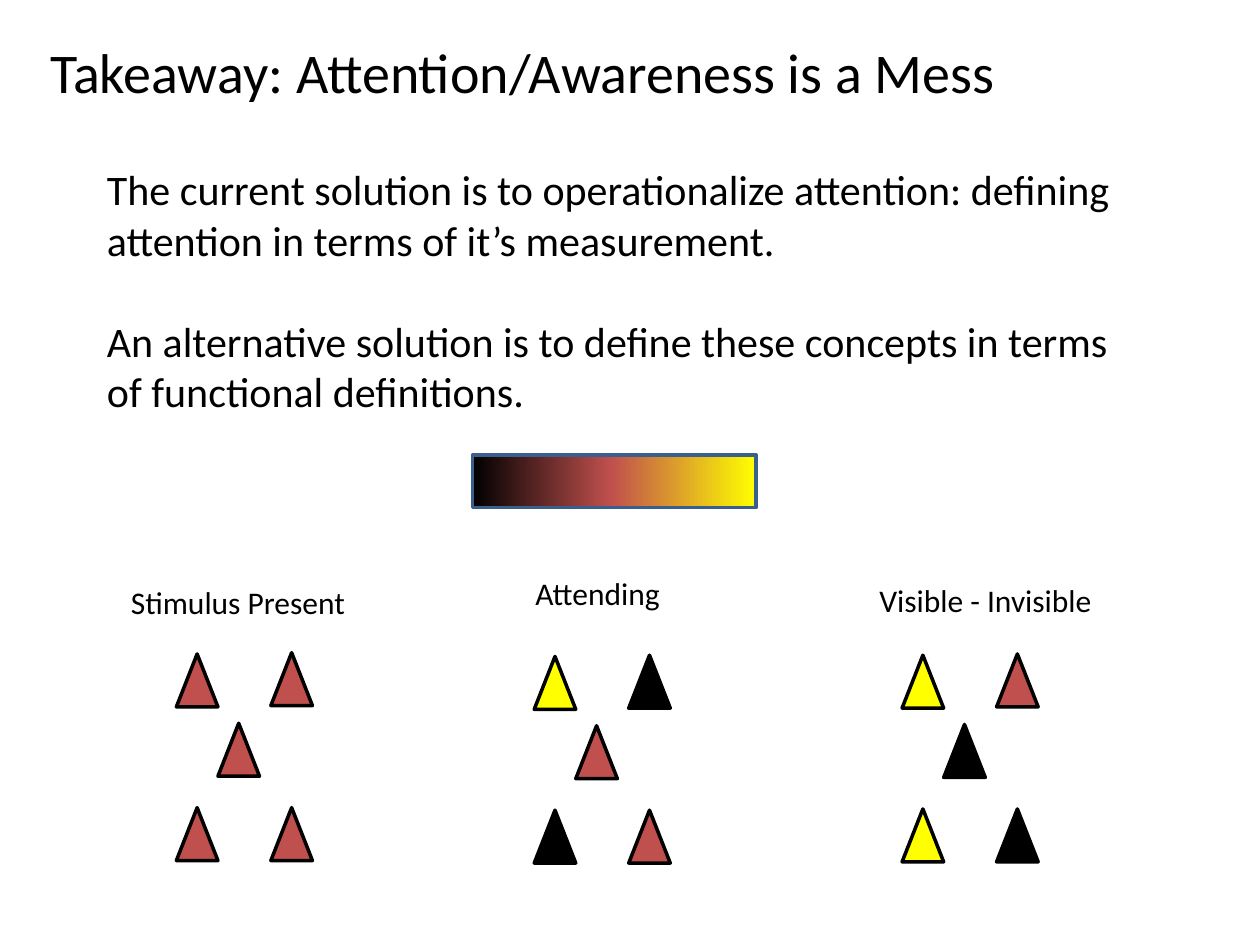
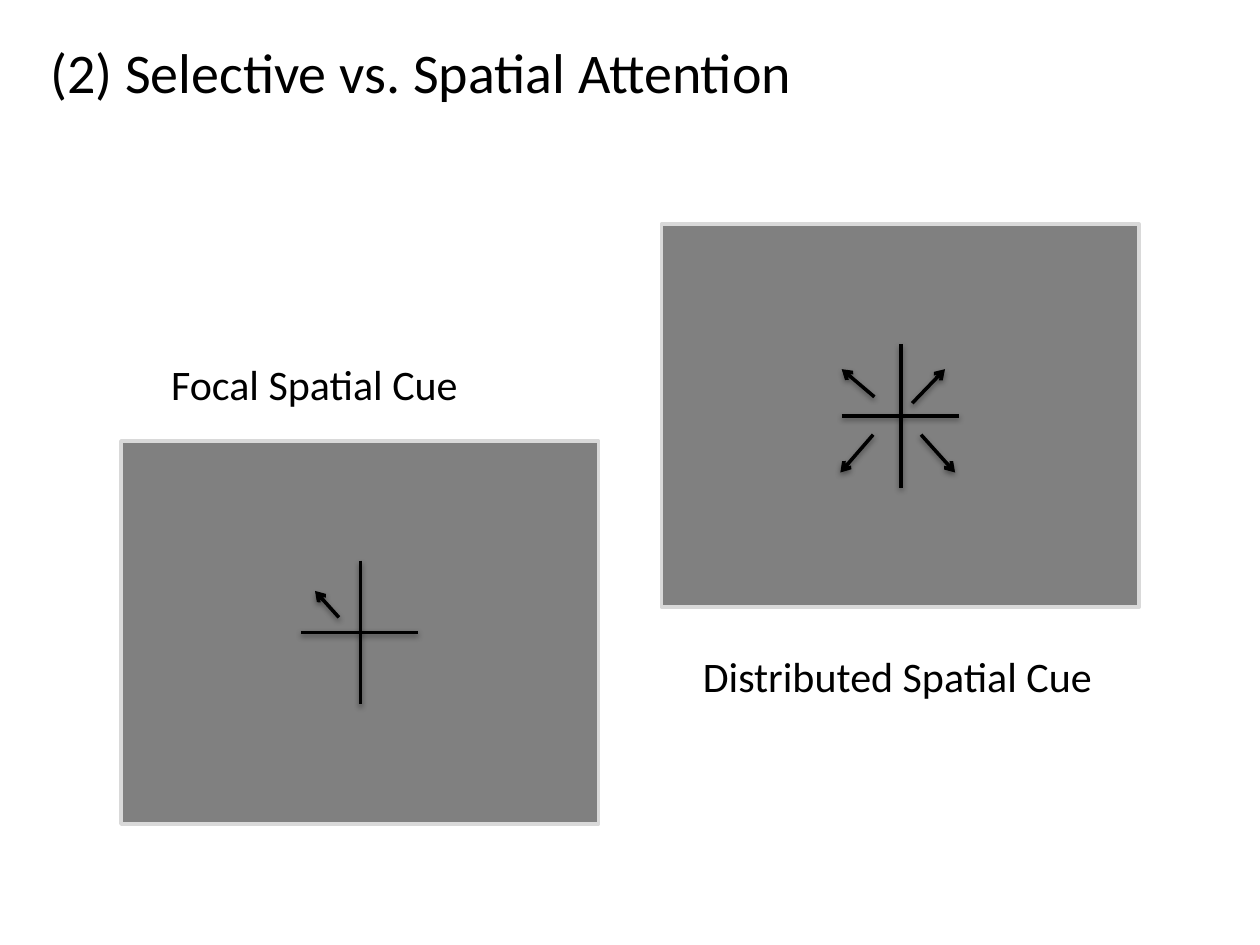
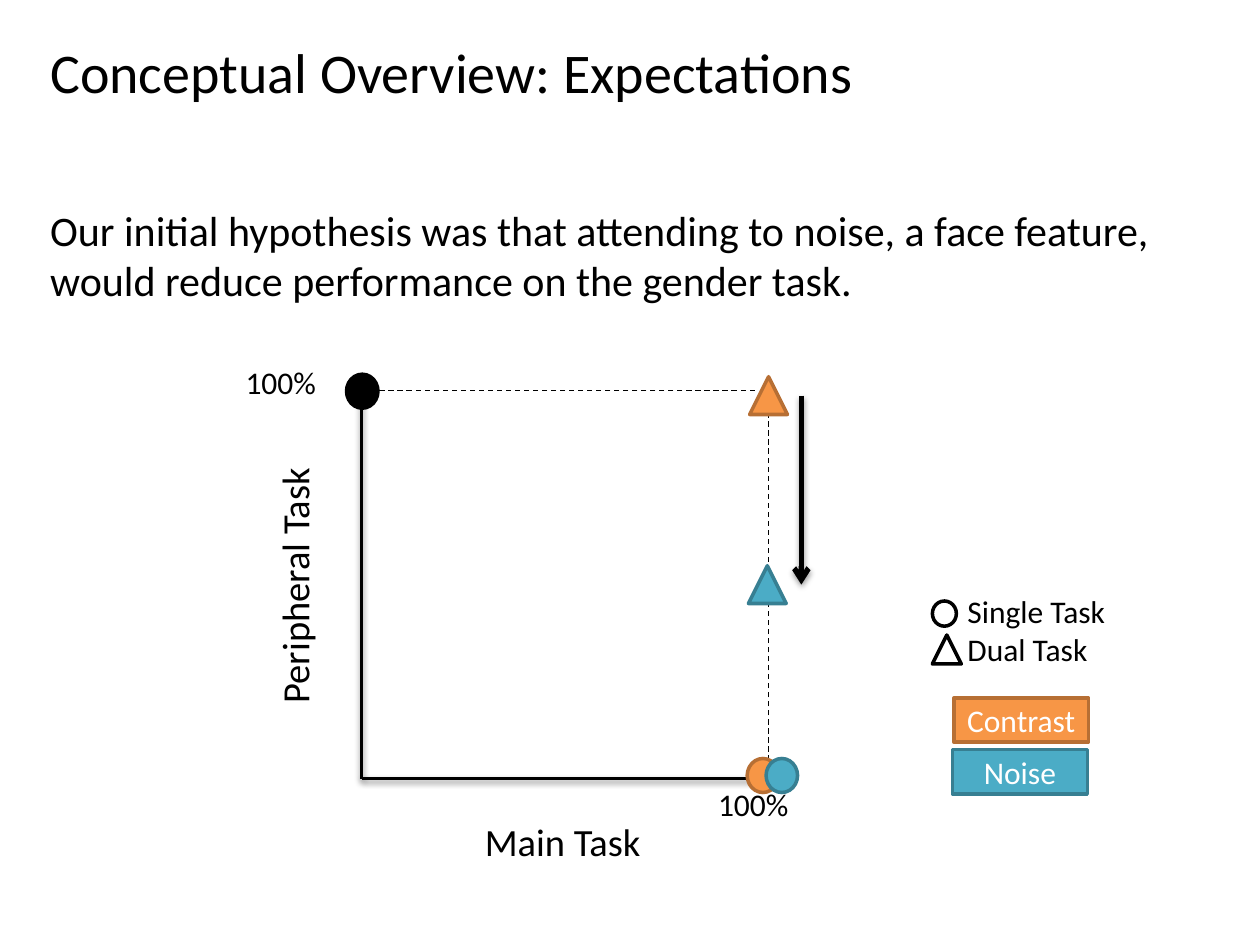
"""Builds three slides on attention, spatial cues and expected task performance."""
from copy import deepcopy

from pptx import Presentation
from pptx.dml.color import RGBColor
from pptx.enum import dml, shapes, text
from pptx.oxml.ns import qn
from pptx.oxml.xmlchemy import OxmlElement
from pptx.util import Pt

PX = 9144
FONT = "Calibri"
BLACK = RGBColor(0x00, 0x00, 0x00)
WHITE = RGBColor(0xFF, 0xFF, 0xFF)
RED = RGBColor(0xC0, 0x50, 0x4D)
YELLOW = RGBColor(0xFF, 0xFF, 0x00)
BLUE_EDGE = RGBColor(0x3A, 0x5F, 0x8C)
GRAY = RGBColor(0x80, 0x80, 0x80)
LIGHT_GRAY = RGBColor(0xD9, 0xD9, 0xD9)
ORANGE = RGBColor(0xF7, 0x96, 0x46)
ORANGE_EDGE = RGBColor(0xB7, 0x6F, 0x34)
TEAL = RGBColor(0x4B, 0xAC, 0xC6)
TEAL_EDGE = RGBColor(0x37, 0x7F, 0x92)
RECTANGLE = shapes.MSO_SHAPE.RECTANGLE
TRIANGLE = shapes.MSO_SHAPE.ISOSCELES_TRIANGLE
OVAL = shapes.MSO_SHAPE.OVAL


def add_text(slide, box, lines, size, wrap=False, gap=0):
    shape = slide.shapes.add_textbox(*(value * PX for value in box))
    frame = shape.text_frame
    frame.text = "\n".join(lines)
    frame.word_wrap = wrap
    frame.auto_size = text.MSO_AUTO_SIZE.SHAPE_TO_FIT_TEXT
    for index, paragraph in enumerate(frame.paragraphs):
        paragraph.space_before = Pt(gap if index else 0)
        for run in paragraph.runs:
            run.font.name = FONT
            run.font.size = Pt(size)
            run.font.color.rgb = BLACK
    return shape


def add_figure(slide, kind, box, fill, edge):
    shape = slide.shapes.add_shape(kind, *(value * PX for value in box))
    shape.shadow.inherit = False
    if fill is None:
        shape.fill.background()
    else:
        shape.fill.solid()
        shape.fill.fore_color.rgb = fill
    shape.line.color.rgb = edge
    shape.line.width = Pt(2)
    return shape


presentation = Presentation()
presentation.slide_width = 1000 * PX
presentation.slide_height = 750 * PX

slides = []
for title, width in [
    ("Takeaway: Attention/Awareness is a Mess", 778),
    ("(2) Selective vs. Spatial Attention", 617),
    ("Conceptual Overview: Expectations", 664),
]:
    slide = presentation.slides.add_slide(presentation.slide_layouts[6])
    add_text(slide, (30, 25, width, 64), [title], 32)
    slides.append(slide)
takeaway, cues, expectations = slides

add_text(takeaway, (75, 125, 842, 212), [
    "The current solution is to operationalize attention: defining attention in terms of it’s measurement.",
    "An alternative solution is to define these concepts in terms of functional definitions.",
], 24, wrap=True, gap=29)

scale_bar = add_figure(takeaway, RECTANGLE, (375, 361, 225, 42), None, BLUE_EDGE)
scale_bar.fill.gradient()
scale_bar.fill.gradient_angle = 0
stop_list = scale_bar.element.spPr.find(qn("a:gradFill")).find(qn("a:gsLst"))
stop_list.insert(1, deepcopy(stop_list[0]))
for stop, position, color in zip(scale_bar.fill.gradient_stops, (0, 0.49, 1), (BLACK, RED, YELLOW)):
    stop.position = position
    stop.color.rgb = color

triangle_offsets = [(0, 0), (75, -1), (33, 55), (0, 122), (75, 122)]
for label, label_box, left, top, colors in [
    ("Stimulus Present", (94, 458, 192, 40), 140, 519, [RED] * 5),
    ("Attending", (415, 451, 121, 40), 424, 521, [YELLOW, BLACK, RED, BLACK, RED]),
    ("Visible - Invisible", (688, 456, 191, 40), 716, 520, [YELLOW, RED, BLACK, YELLOW, BLACK]),
]:
    add_text(takeaway, label_box, [label], 18)
    for (dx, dy), color in zip(triangle_offsets, colors):
        add_figure(takeaway, TRIANGLE, (left + dx, top + dy, 33, 42), color, BLACK)

lines = []
for label, label_box, left, top in [
    ("Focal Spatial Cue", (126, 280, 250, 50), 96, 350),
    ("Distributed Spatial Cue", (548, 511, 332, 50), 525, 178),
]:
    add_figure(cues, RECTANGLE, (left, top, 379, 304), GRAY, LIGHT_GRAY)
    add_text(cues, label_box, [label], 24)
    center_x, center_y = left + 190, top + 152
    lines.append((cues, (center_x - 47, center_y, center_x + 46, center_y), 2, "plain"))
    lines.append((cues, (center_x, center_y - 57, center_x, center_y + 57), 2, "plain"))

for ends in [
    (269, 490, 250, 469),
    (694, 315, 668, 293),
    (724, 320, 750, 293),
    (731, 345, 758, 375),
    (693, 345, 667, 375),
]:
    lines.append((cues, ends, 2, "arrow"))

lines += [
    (expectations, (287, 618, 606, 618), 2, "plain"),
    (expectations, (287, 618, 287, 310), 2, "plain"),
    (expectations, (610, 618, 610, 310), 0.75, "dash"),
    (expectations, (599, 310, 286, 310), 0.75, "dash"),
    (expectations, (636, 314, 636, 464), 3, "arrow"),
]
for slide, ends, width, style in lines:
    connector = slide.shapes.add_connector(
        shapes.MSO_CONNECTOR.STRAIGHT, *(value * PX for value in ends))
    connector.line.color.rgb = BLACK
    connector.line.width = Pt(width)
    properties = connector.element.spPr
    if style == "dash":
        connector.line.dash_style = dml.MSO_LINE.DASH
        properties.append(OxmlElement("a:effectLst"))
    elif style == "arrow":
        arrowhead = OxmlElement("a:tailEnd")
        arrowhead.set("type", "arrow")
        properties.find(qn("a:ln")).append(arrowhead)

add_text(expectations, (30, 157, 937, 91), [
    "Our initial hypothesis was that attending to noise, a face feature, "
    "would reduce performance on the gender task.",
], 24, wrap=True)
add_text(expectations, (758, 465, 131, 71), ["Single Task", "Dual Task"], 18)
add_text(expectations, (560, 618, 101, 53), ["100%"], 18)
add_text(expectations, (185, 283, 101, 53), ["100%"], 18)
add_text(expectations, (375, 644, 145, 47), ["Main Task"], 22)
vertical_label = add_text(expectations, (129, 440, 209, 47), ["Peripheral Task"], 22)
vertical_label.rotation = 270

for kind, box, fill, edge in [
    (OVAL, (740, 477, 19, 20), None, BLACK),
    (TRIANGLE, (740, 504, 23, 23), None, BLACK),
    (OVAL, (593, 602, 25, 27), ORANGE, ORANGE_EDGE),
    (OVAL, (608, 602, 25, 27), TEAL, TEAL_EDGE),
    (OVAL, (275, 297, 25, 27), BLACK, BLACK),
    (TRIANGLE, (595, 299, 30, 30), ORANGE, ORANGE_EDGE),
    (TRIANGLE, (594, 449, 30, 30), TEAL, TEAL_EDGE),
]:
    add_figure(expectations, kind, box, fill, edge)

for name, left, top, fill, edge in [
    ("Contrast", 757, 554, ORANGE, ORANGE_EDGE),
    ("Noise", 756, 595, TEAL, TEAL_EDGE),
]:
    key = add_figure(expectations, RECTANGLE, (left, top, 107, 35), fill, edge)
    key.text_frame.text = name
    key.text_frame.vertical_anchor = text.MSO_ANCHOR.MIDDLE
    paragraph = key.text_frame.paragraphs[0]
    paragraph.alignment = text.PP_ALIGN.CENTER
    font = paragraph.runs[0].font
    font.name = FONT
    font.size = Pt(18)
    font.color.rgb = WHITE

presentation.save("out.pptx")
